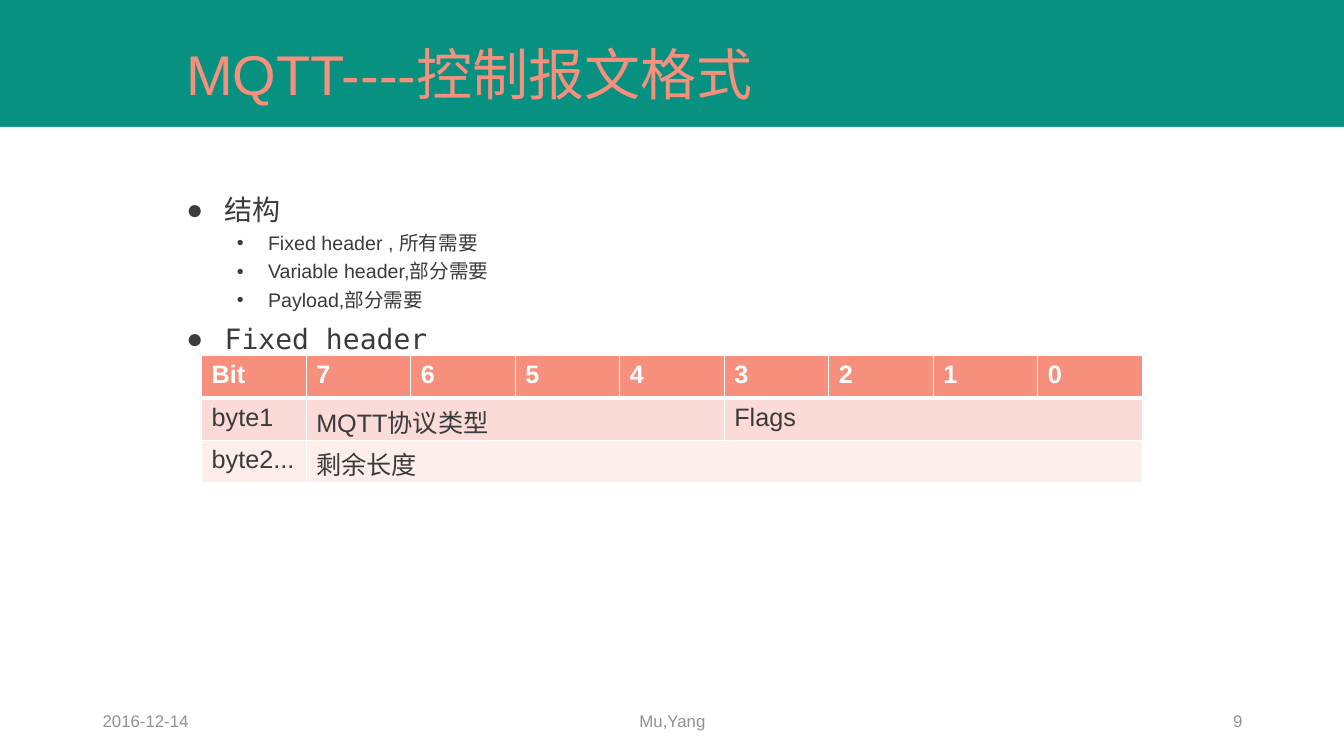
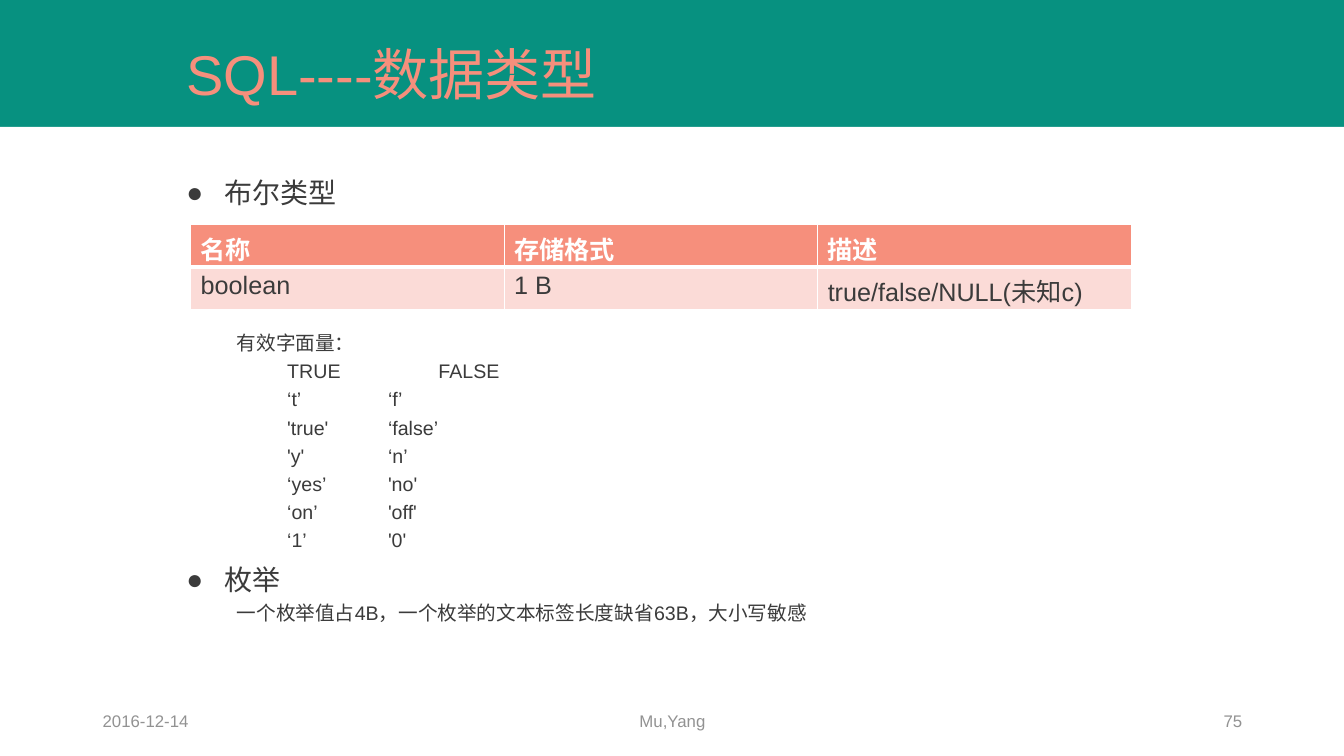
from dataclasses import dataclass

from lxml.etree import SubElement
from pptx import Presentation
from pptx.dml.color import RGBColor
from pptx.enum.shapes import MSO_SHAPE
from pptx.enum.text import MSO_ANCHOR, PP_ALIGN
from pptx.oxml.ns import qn
from pptx.util import Inches, Pt


@dataclass(frozen=True)
class Theme:
    teal: str = "079180"
    coral: str = "F68F7C"
    row_tints: tuple = ("FBDBD7", "FDEEEC")
    white: str = "FFFFFF"
    ink: str = "3B3B3B"
    grey: str = "929292"
    sans: str = "Arial"
    mono: str = "DejaVu Sans Mono"
    title_size: int = 40
    heading_size: int = 20
    table_size: int = 18
    detail_size: int = 14
    footer_size: int = 12


@dataclass(frozen=True)
class Level:
    """Paragraph style of one outline level."""
    depth: int
    margin: float
    indent: float
    bullet: str
    space_before: int
    size: int
    font: str


THEME = Theme()
HEADING = Level(0, 0.38, -0.38, "●", 10, THEME.heading_size, THEME.mono)
POINT = Level(1, 0.81, -0.31, "•", 5, THEME.detail_size, THEME.sans)
PLAIN = Level(1, 0.5, 0, "", 5, THEME.detail_size, THEME.sans)

WIDTH, HEIGHT = 13.33, 7.5
BAND_HEIGHT = 1.26
BODY_LEFT, BODY_WIDTH = 1.75, 9.62
TABLE_WIDTH, ROW_HEIGHT = 9.33, 0.42


class Deck:
    def __init__(self, theme):
        self.theme = theme
        self.presentation = Presentation()
        self.presentation.slide_width = Inches(WIDTH)
        self.presentation.slide_height = Inches(HEIGHT)
        self.slide = None

    def add_slide(self, title, number):
        """Start a slide with its band, title and footer."""
        theme = self.theme
        layout = self.presentation.slide_layouts[6]
        self.slide = self.presentation.slides.add_slide(layout)
        background = self.slide.background.fill
        background.solid()
        background.fore_color.rgb = RGBColor.from_string(theme.teal)

        # White page below the title band
        page = self.slide.shapes.add_shape(
            MSO_SHAPE.RECTANGLE, 0, Inches(BAND_HEIGHT),
            Inches(WIDTH), Inches(HEIGHT - BAND_HEIGHT))
        page.shadow.inherit = False
        page.fill.solid()
        page.fill.fore_color.rgb = RGBColor.from_string(theme.white)
        page.line.fill.background()

        paragraph = self.label(title, BODY_LEFT, 0.18, BODY_WIDTH, 1.18,
                               theme.title_size, theme.coral)
        paragraph.line_spacing = 0.9

        # Footer: date, author, slide number
        for text, left, width, align in (
                ("2016-12-14", 0.92, 3, PP_ALIGN.LEFT),
                ("Mu,Yang", 4.42, 4.5, PP_ALIGN.CENTER),
                (str(number), 9.42, 3, PP_ALIGN.RIGHT)):
            self.label(text, left, 6.95, width, 0.4,
                       theme.footer_size, theme.grey, align)

    def text_frame(self, left, top, width, height):
        shape = self.slide.shapes.add_textbox(
            Inches(left), Inches(top), Inches(width), Inches(height))
        shape.text_frame.word_wrap = True
        return shape.text_frame

    def set_font(self, paragraph, size, color, name, bold=False):
        font = paragraph.font
        font.size = Pt(size)
        font.name = name
        font.bold = bold
        font.color.rgb = RGBColor.from_string(color)

    def label(self, text, left, top, width, height, size, color,
              align=PP_ALIGN.LEFT):
        """Add one vertically centred line of text."""
        frame = self.text_frame(left, top, width, height)
        frame.vertical_anchor = MSO_ANCHOR.MIDDLE
        paragraph = frame.paragraphs[0]
        paragraph.text = text
        paragraph.alignment = align
        self.set_font(paragraph, size, color, self.theme.sans)
        return paragraph

    def outline(self, items, top, height):
        """Add a body box from (level, text) pairs."""
        frame = self.text_frame(BODY_LEFT, top, BODY_WIDTH, height)
        for index, (level, text) in enumerate(items):
            paragraph = frame.add_paragraph() if index else frame.paragraphs[0]
            paragraph.text = text
            paragraph.level = level.depth
            properties = paragraph._p.get_or_add_pPr()
            properties.set("marL", str(Inches(level.margin)))
            properties.set("indent", str(Inches(level.indent)))
            if level.bullet:
                SubElement(properties, qn("a:buFont"), typeface=self.theme.sans)
                SubElement(properties, qn("a:buChar"), char=level.bullet)
            paragraph.line_spacing = 0.9
            if index:
                paragraph.space_before = Pt(level.space_before)
            self.set_font(paragraph, level.size, self.theme.ink, level.font)

    def table(self, rows, left, top):
        """Add a table; None in a row extends the cell to its left."""
        column_count = len(rows[0])
        table = self.slide.shapes.add_table(
            len(rows), column_count, Inches(left), Inches(top),
            Inches(TABLE_WIDTH), Inches(ROW_HEIGHT * len(rows))).table
        table.horz_banding = False
        for column in table.columns:
            column.width = Inches(TABLE_WIDTH / column_count)
        for row_index, row in enumerate(rows):
            table.rows[row_index].height = Inches(ROW_HEIGHT)
            for column_index, text in enumerate(row):
                if text is None:
                    continue
                end = column_index
                while end + 1 < column_count and row[end + 1] is None:
                    end += 1
                cell = table.cell(row_index, column_index)
                if end > column_index:
                    cell.merge(table.cell(row_index, end))
                self.style_cell(cell, text, row_index)

    def style_cell(self, cell, text, row_index):
        theme = self.theme
        header = row_index == 0
        # White rules, thicker under the header
        widths = {"lnL": 1, "lnR": 1, "lnT": 3 if row_index == 1 else 1,
                  "lnB": 3 if header else 1}
        properties = cell._tc.get_or_add_tcPr()
        for side, width in widths.items():
            line = SubElement(properties, qn(f"a:{side}"), w=str(Pt(width)))
            fill = SubElement(line, qn("a:solidFill"))
            SubElement(fill, qn("a:srgbClr"), val=theme.white)
        color = theme.coral if header else theme.row_tints[(row_index - 1) % 2]
        cell.fill.solid()
        cell.fill.fore_color.rgb = RGBColor.from_string(color)
        paragraph = cell.text_frame.paragraphs[0]
        paragraph.text = text
        self.set_font(paragraph, theme.table_size,
                      theme.white if header else theme.ink, theme.sans, header)


def add_mqtt_slide(deck):
    deck.add_slide("MQTT----控制报文格式", 9)
    deck.outline([
        (HEADING, "结构"),
        (POINT, "Fixed header , 所有需要"),
        (POINT, "Variable header,部分需要"),
        (POINT, "Payload,部分需要"),
        (HEADING, "Fixed header"),
    ], 1.9, 4.52)
    deck.table([
        ["Bit", *(str(bit) for bit in range(7, -1, -1))],
        ["byte1", "MQTT协议类型", *[None] * 3, "Flags", *[None] * 3],
        ["byte2...", "剩余长度", *[None] * 7],
    ], 2, 3.53)


def add_sql_slide(deck):
    deck.add_slide("SQL----数据类型", 75)
    deck.outline([(HEADING, "布尔类型")], 1.73, 0.5)
    literals = [("TRUE", "FALSE"), ("‘t’", "‘f’"), ("'true'", "‘false’"),
                ("'y'", "‘n’"), ("‘yes’", "'no'"), ("‘on’", "'off'"),
                ("‘1’", "'0'")]
    deck.outline([
        (PLAIN, "有效字面量："),
        *((PLAIN, f"\t{true}\t\t{false}") for true, false in literals),
        (HEADING, "枚举"),
        (PLAIN, "一个枚举值占4B，一个枚举的文本标签长度缺省63B，大小写敏感"),
    ], 3.26, 3.69)
    deck.table([
        ["名称", "存储格式", "描述"],
        ["boolean", "1 B", "true/false/NULL(未知c)"],
    ], 1.89, 2.23)


def main():
    deck = Deck(THEME)
    add_mqtt_slide(deck)
    add_sql_slide(deck)
    deck.presentation.save("out.pptx")


if __name__ == "__main__":
    main()
